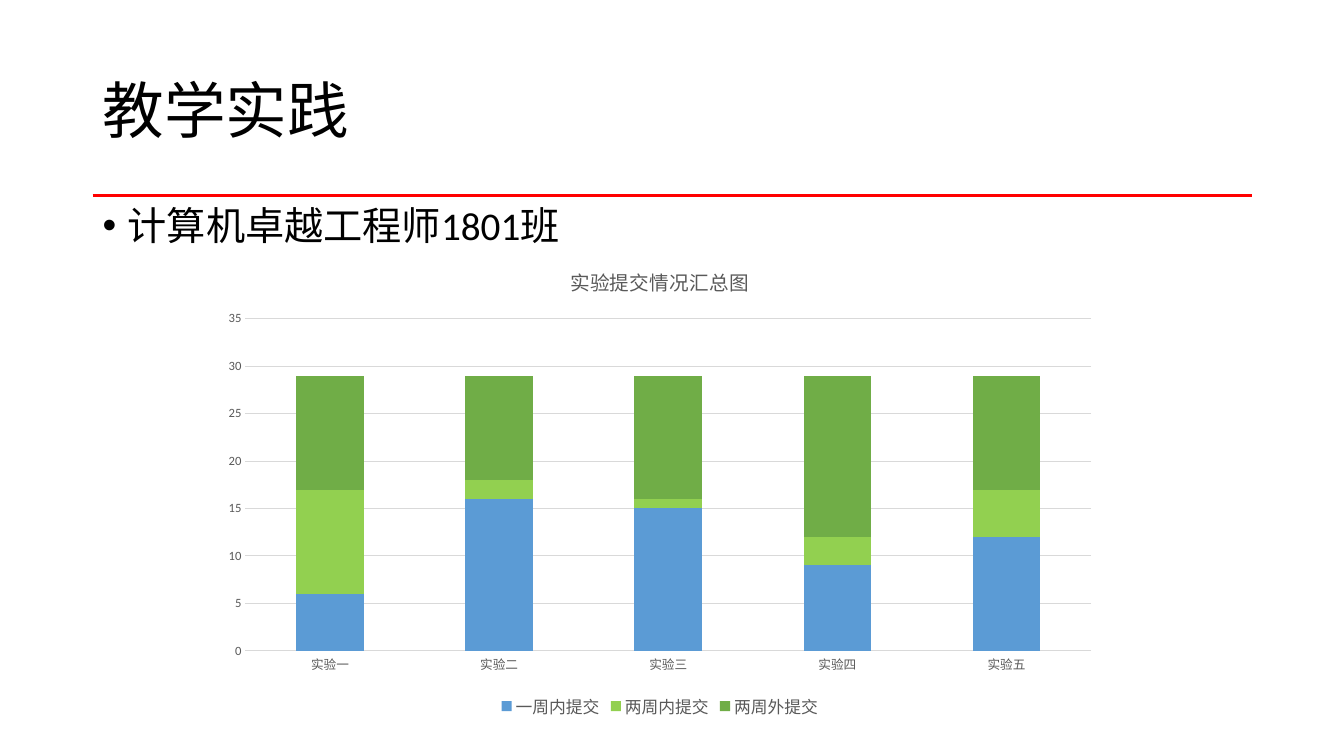
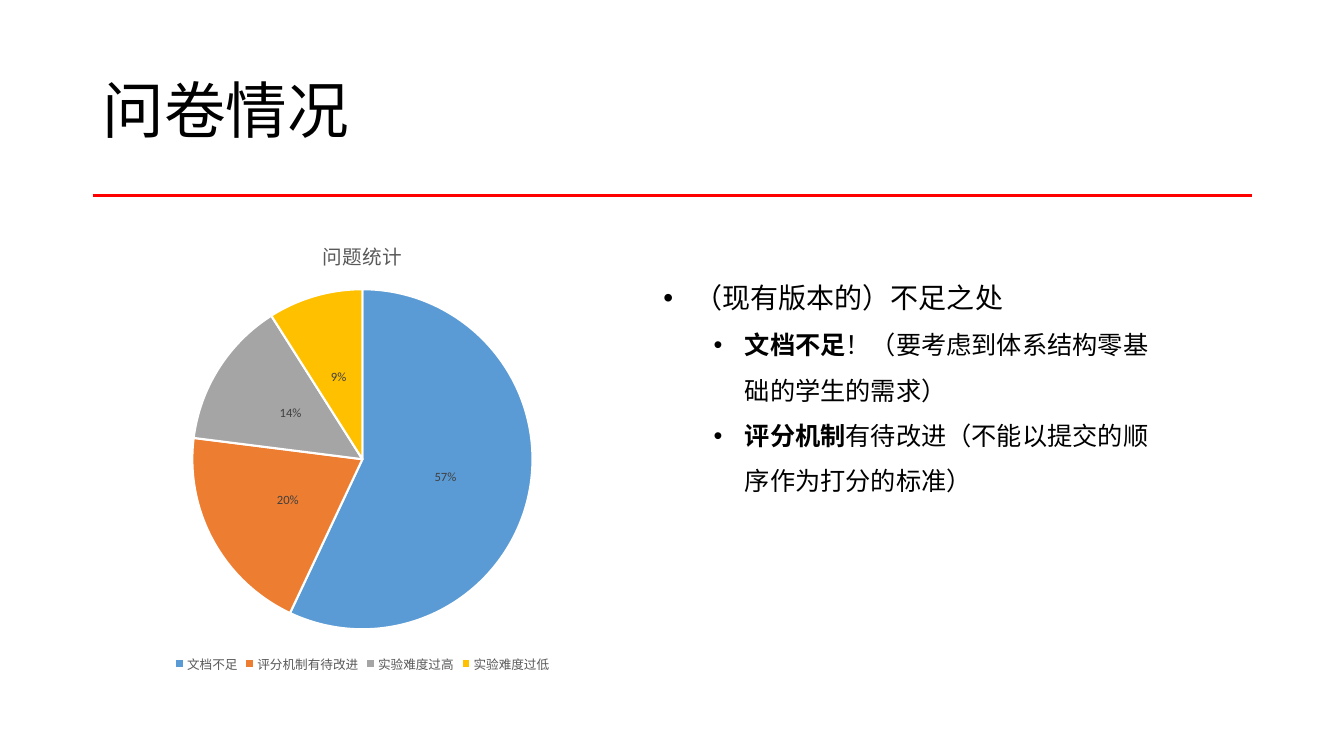
from lxml import etree
from pptx import Presentation
from pptx.chart.data import CategoryChartData
from pptx.dml.color import RGBColor
from pptx.enum import chart as charts, lang, shapes, text
from pptx.oxml import ns
from pptx.util import Inches, Pt

BLACK = RGBColor(0, 0, 0)
WHITE = RGBColor(255, 255, 255)
RED = RGBColor(255, 0, 0)
GRAY = RGBColor(0x59, 0x59, 0x59)
DARK_GRAY = RGBColor(0x40, 0x40, 0x40)
LIGHT_GRAY = RGBColor(0xD9, 0xD9, 0xD9)
BLUE = RGBColor(0x5B, 0x9B, 0xD5)
LIME = RGBColor(0x92, 0xD0, 0x50)
GREEN = RGBColor(0x70, 0xAD, 0x47)
ORANGE = RGBColor(0xED, 0x7D, 0x31)
SILVER = RGBColor(0xA5, 0xA5, 0xA5)
GOLD = RGBColor(0xFF, 0xC0, 0x00)
FONT = "Calibri"
LEFT, WIDTH = 0.92, 11.5
RULE_TOP = 1.94


def style_font(font, size, color, bold=False):
    formats = {"name": FONT, "size": Pt(size), "bold": bold,
               "language_id": lang.MSO_LANGUAGE_ID.SIMPLIFIED_CHINESE}
    for name, value in formats.items():
        setattr(font, name, value)
    font.color.rgb = color


def style_line(line, color, width):
    line.color.rgb = color
    line.width = Pt(width)


def add_bullet(para, indent, hanging):
    properties = para._p.get_or_add_pPr()
    properties.set("marL", str(Inches(indent)))
    properties.set("indent", str(-Inches(hanging)))
    etree.SubElement(properties, ns.qn("a:buFont")).set("typeface", "Arial")
    etree.SubElement(properties, ns.qn("a:buChar")).set("char", "•")


def add_text(page, area, paragraphs, anchor=text.MSO_ANCHOR.TOP):
    box = page.shapes.add_textbox(*map(Inches, area))
    frame = box.text_frame
    frame.word_wrap = True
    frame.vertical_anchor = anchor
    for number, item in enumerate(paragraphs):
        para = frame.add_paragraph() if number else frame.paragraphs[0]
        para.level = item.get("level", 0)
        para.line_spacing = item["spacing"]
        para.space_before = Pt(item.get("before", 0))
        if "bullet" in item:
            add_bullet(para, *item["bullet"])
        for words, bold in item["spans"]:
            span = para.add_run()
            span.text = words
            style_font(span.font, item["size"], BLACK, bold)


def add_page(deck, title):
    page = deck.slides.add_slide(deck.slide_layouts[6])
    rule = page.shapes.add_connector(
        shapes.MSO_CONNECTOR.STRAIGHT, Inches(LEFT), Inches(RULE_TOP),
        Inches(LEFT + WIDTH), Inches(RULE_TOP))
    style_line(rule.line, RED, 1.5)
    etree.SubElement(rule._element.spPr, ns.qn("a:effectLst"))
    heading = {"size": 44, "spacing": 0.9, "spans": [(title, False)]}
    add_text(page, (LEFT, 0.4, WIDTH, 1.45), [heading], text.MSO_ANCHOR.MIDDLE)
    return page


def add_chart(page, kind, area, title, categories, series, legend_size):
    data = CategoryChartData()
    data.categories = categories
    for name, values in series:
        data.add_series(name, values)
    chart = page.shapes.add_chart(kind, *map(Inches, area), data).chart
    style_font(chart.font, 10, BLACK)
    chart.has_title = True
    chart.chart_title.include_in_layout = False
    para = chart.chart_title.text_frame.paragraphs[0]
    span = para.add_run()
    span.text = title
    style_font(span.font, 14, GRAY)
    chart.has_legend = True
    chart.legend.position = charts.XL_LEGEND_POSITION.BOTTOM
    chart.legend.include_in_layout = False
    style_font(chart.legend.font, legend_size, GRAY)
    return chart


def style_axes(chart):
    for axis in (chart.category_axis, chart.value_axis):
        axis.major_tick_mark = charts.XL_TICK_MARK.NONE
        axis.minor_tick_mark = charts.XL_TICK_MARK.NONE
        style_font(axis.tick_labels.font, 9, GRAY)
    style_line(chart.category_axis.format.line, LIGHT_GRAY, 0.75)
    chart.value_axis.format.line.fill.background()
    style_line(chart.value_axis.major_gridlines.format.line, LIGHT_GRAY, 0.75)


def add_stacked_columns(page, area, title, categories, series, colors):
    chart = add_chart(page, charts.XL_CHART_TYPE.COLUMN_STACKED, area,
                      title, categories, series, 12)
    style_axes(chart)
    plot = chart.plots[0]
    formats = {"gap_width": 150, "overlap": 100, "vary_by_categories": False}
    for name, value in formats.items():
        setattr(plot, name, value)
    for column, color in zip(plot.series, colors):
        column.format.fill.solid()
        column.format.fill.fore_color.rgb = color


def add_pie(page, area, title, categories, values, colors):
    chart = add_chart(page, charts.XL_CHART_TYPE.PIE, area, title,
                      categories, [("Series 1", values)], 9)
    plot = chart.plots[0]
    plot.vary_by_categories = True
    pie = plot.series[0]
    for number, color in enumerate(colors):
        look = pie.points[number].format
        look.fill.solid()
        look.fill.fore_color.rgb = color
        style_line(look.line, WHITE, 1.5)
    labels = pie.data_labels
    formats = {"show_percentage": True, "show_value": False,
               "number_format": "0%", "number_format_is_linked": False,
               "position": charts.XL_LABEL_POSITION.CENTER}
    for name, value in formats.items():
        setattr(labels, name, value)
    style_font(labels.font, 9, DARK_GRAY)


def build_practice(deck):
    page = add_page(deck, "教学实践")
    class_name = {"size": 28, "spacing": 0.9, "before": 10,
                  "bullet": (0.25, 0.25),
                  "spans": [("计算机卓越工程师1801班", False)]}
    add_text(page, (LEFT, 2, WIDTH, 4.76), [class_name])
    add_stacked_columns(
        page, (2.09, 2.45, 8.91, 4.72), "实验提交情况汇总图",
        ["实验" + number for number in "一二三四五"],
        [("一周内提交", (6, 16, 15, 9, 12)),
         ("两周内提交", (11, 2, 1, 3, 5)),
         ("两周外提交", (12, 11, 13, 17, 12))],
        (BLUE, LIME, GREEN))


def build_survey(deck):
    page = add_page(deck, "问卷情况")
    add_pie(page, (0.71, 2.19, 5.77, 4.52), "问题统计",
            ["文档不足", "评分机制有待改进", "实验难度过高", "实验难度过低"],
            (57, 20, 14, 9), (BLUE, ORANGE, SILVER, GOLD))
    main_point = {"size": 20, "spacing": 1.5, "bullet": (0.31, 0.31),
                  "spans": [("（现有版本的）不足之处", False)]}
    details = [("文档不足", "！（要考虑到体系结构零基础的学生的需求）"),
               ("评分机制", "有待改进（不能以提交的顺序作为打分的标准）")]
    sub_points = [{"size": 18, "spacing": 1.5, "level": 1,
                   "bullet": (0.81, 0.31),
                   "spans": [(topic, True), (remark, False)]}
                  for topic, remark in details]
    add_text(page, (6.48, 2.57, 5.08, 2.88), [main_point, *sub_points])


def main():
    deck = Presentation()
    deck.slide_width, deck.slide_height = Inches(13.33), Inches(7.5)
    build_practice(deck)
    build_survey(deck)
    deck.save("out.pptx")


main()
